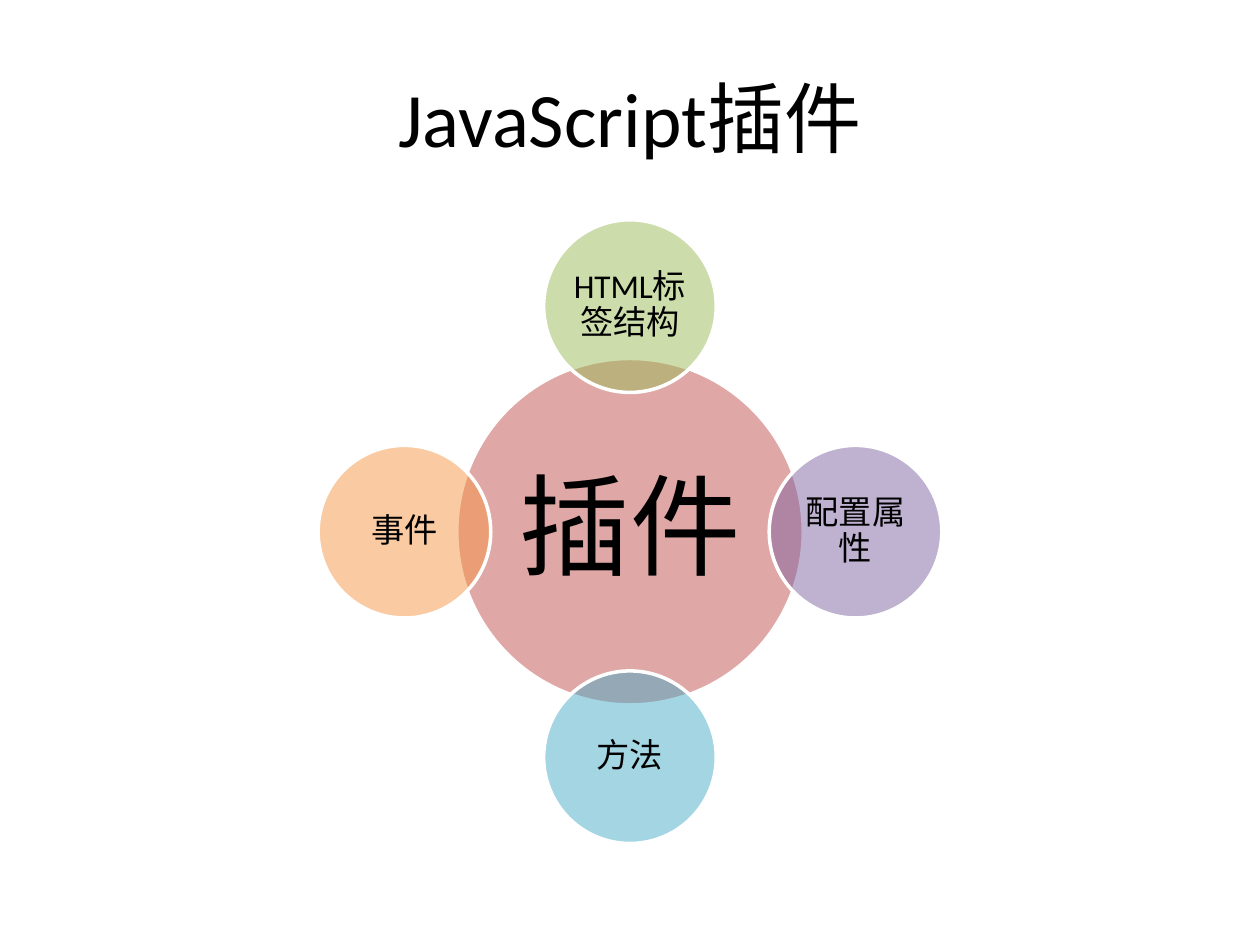
"""Build a slide with a radial Venn diagram of the parts of a JavaScript plugin."""
from dataclasses import dataclass
from math import cos, radians, sin

from lxml.etree import SubElement
from pptx import Presentation
from pptx.dml.color import RGBColor
from pptx.enum.shapes import MSO_SHAPE
from pptx.enum.text import MSO_ANCHOR, PP_ALIGN
from pptx.oxml.ns import qn
from pptx.slide import Slide
from pptx.text.text import TextFrame
from pptx.util import Inches, Pt

BLACK = RGBColor(0x00, 0x00, 0x00)
WHITE = RGBColor(0xFF, 0xFF, 0xFF)
RED = RGBColor(0xC0, 0x50, 0x4D)
GREEN = RGBColor(0x9B, 0xBB, 0x59)
PURPLE = RGBColor(0x80, 0x64, 0xA2)
BLUE = RGBColor(0x4B, 0xAC, 0xC6)
ORANGE = RGBColor(0xF7, 0x96, 0x46)

FONT = "Calibri"
CENTER_X, CENTER_Y = 5.0, 4.22
ORBIT = 1.79
HUB_DIAMETER, SATELLITE_DIAMETER = 2.75, 1.37


@dataclass
class Circle:
    text: str
    color: RGBColor
    diameter: float = SATELLITE_DIAMETER
    size: float = 19
    inset: float = 0.03


HUB = Circle("插件", RED, HUB_DIAMETER, 63, 0.09)
SATELLITES = [
    Circle("HTML标签结构", GREEN),
    Circle("配置属性", PURPLE),
    Circle("方法", BLUE),
    Circle("事件", ORANGE),
]


def write_text(frame: TextFrame, text: str, *, size: float, inset: float = 0.05,
               line_spacing: float = 1.0) -> None:
    frame.word_wrap = True
    frame.vertical_anchor = MSO_ANCHOR.MIDDLE
    frame.margin_left = frame.margin_right = Inches(inset)
    frame.margin_top = frame.margin_bottom = Inches(inset)
    para = frame.paragraphs[0]
    para.alignment = PP_ALIGN.CENTER
    para.line_spacing = line_spacing
    span = para.add_run()
    span.text = text
    span.font.name = FONT
    span.font.size = Pt(size)
    span.font.color.rgb = BLACK


def draw_circle(slide: Slide, circle: Circle, center_x: float, center_y: float) -> None:
    radius = circle.diameter / 2
    shape = slide.shapes.add_shape(
        MSO_SHAPE.OVAL, Inches(center_x - radius), Inches(center_y - radius),
        Inches(circle.diameter), Inches(circle.diameter))
    shape.shadow.inherit = False
    shape.fill.solid()
    shape.fill.fore_color.rgb = circle.color
    color_element = shape.fill._xPr.find(qn("a:solidFill"))[0]
    SubElement(color_element, qn("a:alpha"), val="50000")
    shape.line.color.rgb = WHITE
    shape.line.width = Pt(2)
    write_text(shape.text_frame, circle.text, size=circle.size,
               inset=circle.inset, line_spacing=0.9)


def main() -> None:
    deck = Presentation()
    deck.slide_width, deck.slide_height = Inches(10), Inches(7.5)
    slide = deck.slides.add_slide(deck.slide_layouts[5])

    title = slide.shapes.title
    title.left, title.top = Inches(0.5), Inches(0.3)
    title.width, title.height = Inches(9), Inches(1.25)
    write_text(title.text_frame, "JavaScript插件", size=44)

    draw_circle(slide, HUB, CENTER_X, CENTER_Y)
    for index, satellite in enumerate(SATELLITES):
        angle = radians(360 / len(SATELLITES) * index - 90)
        draw_circle(slide, satellite, CENTER_X + ORBIT * cos(angle),
                    CENTER_Y + ORBIT * sin(angle))

    deck.save("out.pptx")


if __name__ == "__main__":
    main()
